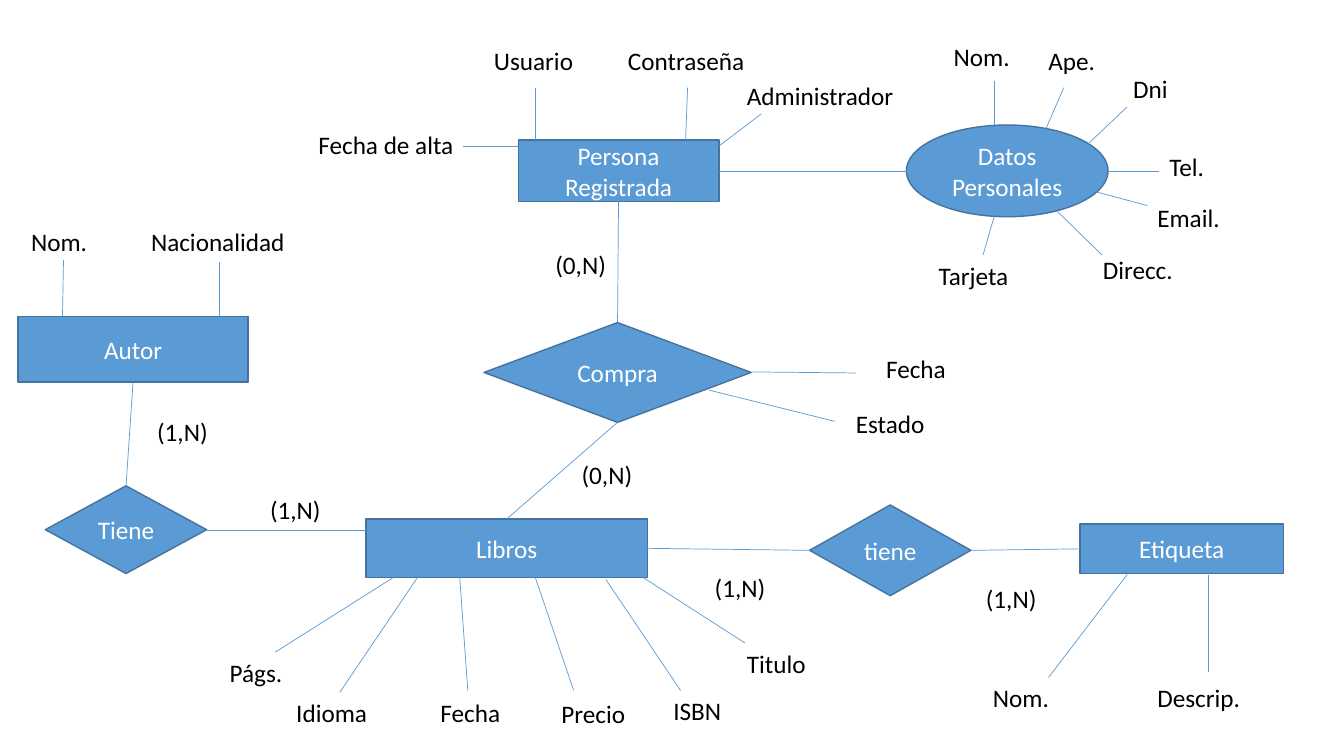
from lxml.etree import SubElement
from pptx import Presentation
from pptx.dml.color import RGBColor
from pptx.enum.shapes import MSO_CONNECTOR, MSO_SHAPE
from pptx.enum.text import MSO_ANCHOR, MSO_AUTO_SIZE, PP_ALIGN
from pptx.oxml.ns import qn
from pptx.util import Inches, Pt

COLORS = {"fill": "5B9BD5", "outline": "43739E", "line": "5B9BD5",
          "label": "000000", "node": "FFFFFF"}
FONT = "Calibri"
TOP, LEFT, BOTTOM, RIGHT = range(4)

NODES = {
    "persona": ("Persona Registrada", MSO_SHAPE.RECTANGLE, (5.14, 1.39, 1.99, 0.61)),
    "datos": ("Datos Personales", MSO_SHAPE.OVAL, (8.99, 1.24, 2, 0.91)),
    "compra": ("Compra", MSO_SHAPE.FLOWCHART_DECISION, (4.8, 3.2, 2.65, 0.99)),
    "libros": ("Libros", MSO_SHAPE.RECTANGLE, (3.63, 5.15, 2.79, 0.58)),
    "autor": ("Autor", MSO_SHAPE.RECTANGLE, (0.18, 3.14, 2.28, 0.65)),
    "autor_libros": ("Tiene", MSO_SHAPE.FLOWCHART_DECISION, (0.45, 4.82, 1.6, 0.87)),
    "etiqueta": ("Etiqueta", MSO_SHAPE.RECTANGLE, (10.71, 5.2, 2.02, 0.49)),
    "libros_etiqueta": ("tiene", MSO_SHAPE.FLOWCHART_DECISION, (8.03, 5.01, 1.6, 0.9)),
}

LINKS = [
    ("persona", BOTTOM, "compra", TOP),
    ("compra", BOTTOM, "libros", TOP),
    ("autor", BOTTOM, "autor_libros", TOP),
    ("libros", RIGHT, "libros_etiqueta", LEFT),
    ("libros_etiqueta", RIGHT, "etiqueta", LEFT),
]

FREE_LINKS = [((7.13, 1.7), (9, 1.7)), ((2.05, 5.26), (3.63, 5.26))]

ATTRIBUTES = [
    ("Usuario", (4.8, 0.4, 1.21), (5.31, 1.39), (5.31, 0.87)),
    ("Contraseña", (6.13, 0.4, 2.24), (6.8, 1.39), (6.82, 0.87)),
    ("Administrador", (7.31, 0.75, 2.3), (7.13, 1.45), (7.55, 1.13)),
    ("Fecha de alta", (3.06, 1.23, 2.17), (5.14, 1.45), (4.59, 1.45)),
    ("Nom.", (9.36, 0.36, 1), (9.86, 1.24), (9.86, 0.8)),
    ("Ape.", (10.3, 0.4, 0.82), (10.36, 1.31), (10.55, 0.87)),
    ("Dni", (11.14, 0.68, 0.72), (10.79, 1.43), (11.18, 1.06)),
    ("Tel.", (11.5, 1.45, 0.83), (10.99, 1.7), (11.5, 1.7)),
    ("Email.", (11.38, 1.96, 0.99), (10.86, 1.9), (11.38, 2.04)),
    ("Direcc.", (10.84, 2.47, 1.2), (10.49, 2.1), (10.93, 2.53)),
    ("Tarjeta", (9.21, 2.53, 1.18), (9.86, 2.15), (9.75, 2.53)),
    ("Fecha", (8.69, 3.46, 1.76), (7.46, 3.69), (8.49, 3.7)),
    ("Estado", (8.39, 4, 1.08), (7.03, 3.87), (8.28, 4.18)),
    ("Nom.", (0.21, 2.2, 1.69), (0.62, 3.14), (0.63, 2.58)),
    ("Nacionalidad", (1.4, 2.2, 1.56), (2.18, 3.16), (2.18, 2.6)),
    ("Págs.", (2.18, 6.47, 1.1), (3.9, 5.73), (2.73, 6.47)),
    ("Idioma", (2.84, 6.87, 1.06), (4.14, 5.73), (3.37, 6.87)),
    ("Fecha", (4.27, 6.87, 1.17), (4.56, 5.73), (4.64, 6.85)),
    ("Precio", (5.47, 6.88, 1.15), (5.31, 5.73), (5.69, 6.85)),
    ("ISBN", (6.58, 6.85, 0.82), (6.01, 5.75), (6.75, 6.85)),
    ("Titulo", (7.31, 6.38, 0.89), (6.38, 5.73), (7.39, 6.38)),
    ("Nom.", (9.75, 6.72, 1.31), (11.18, 5.7), (10.4, 6.72)),
    ("Descrip.", (11.38, 6.72, 1.48), (11.98, 5.7), (11.98, 6.67)),
]

CARDINALITIES = [
    ("(0,N)", (5.41, 2.42, 1.01)),
    ("(0,N)", (5.67, 4.51, 0.92)),
    ("(1,N)", (1.46, 4.08, 1.08)),
    ("(1,N)", (2.58, 4.86, 0.93)),
    ("(1,N)", (6.99, 5.63, 0.73)),
    ("(1,N)", (9.68, 5.74, 0.73)),
]


def color(name):
    """Return the named colour."""
    return RGBColor.from_string(COLORS[name])


def write(frame, text, color_name, align):
    """Write one formatted paragraph into a text frame."""
    frame.word_wrap = True
    para = frame.paragraphs[0]
    para.alignment = align
    span = para.add_run()
    span.text = text
    span.font.name = FONT
    span.font.size = Pt(18)
    span.font.color.rgb = color(color_name)


def add_node(page, text, kind, area):
    """Add an entity, relationship or composite attribute."""
    node = page.shapes.add_shape(kind, *map(Inches, area))
    node.shadow.inherit = False
    node.fill.solid()
    node.fill.fore_color.rgb = color("fill")
    node.line.color.rgb = color("outline")
    node.line.width = Pt(1)
    node.text_frame.vertical_anchor = MSO_ANCHOR.MIDDLE
    write(node.text_frame, text, "node", PP_ALIGN.CENTER)
    return node


def add_label(page, text, place):
    """Add a text label at left, top and width."""
    box = page.shapes.add_textbox(*map(Inches, (*place, 0.4)))
    write(box.text_frame, text, "label", PP_ALIGN.LEFT)
    box.text_frame.auto_size = MSO_AUTO_SIZE.SHAPE_TO_FIT_TEXT


def add_line(page, start=(0, 0), end=(0, 0)):
    """Add a thin straight line between two points."""
    line = page.shapes.add_connector(MSO_CONNECTOR.STRAIGHT, *map(Inches, (*start, *end)))
    line.line.color.rgb = color("line")
    line.line.width = Pt(0.5)
    SubElement(line._element.spPr, qn("a:effectLst"))
    return line


def add_link(page, source, source_side, target, target_side):
    """Join two nodes with a line attached to their sides."""
    line = add_line(page)
    line.begin_connect(source, source_side)
    line.end_connect(target, target_side)


def main():
    """Build the entity-relationship diagram of the bookshop."""
    deck = Presentation()
    deck.slide_width, deck.slide_height = Inches(13.33), Inches(7.5)
    page = deck.slides.add_slide(deck.slide_layouts[6])
    nodes = {key: add_node(page, *node) for key, node in NODES.items()}
    for source, source_side, target, target_side in LINKS:
        add_link(page, nodes[source], source_side, nodes[target], target_side)
    for start, end in FREE_LINKS:
        add_line(page, start, end)
    for text, place, start, end in ATTRIBUTES:
        add_line(page, start, end)
        add_label(page, text, place)
    for text, place in CARDINALITIES:
        add_label(page, text, place)
    deck.save("out.pptx")


if __name__ == "__main__":
    main()
